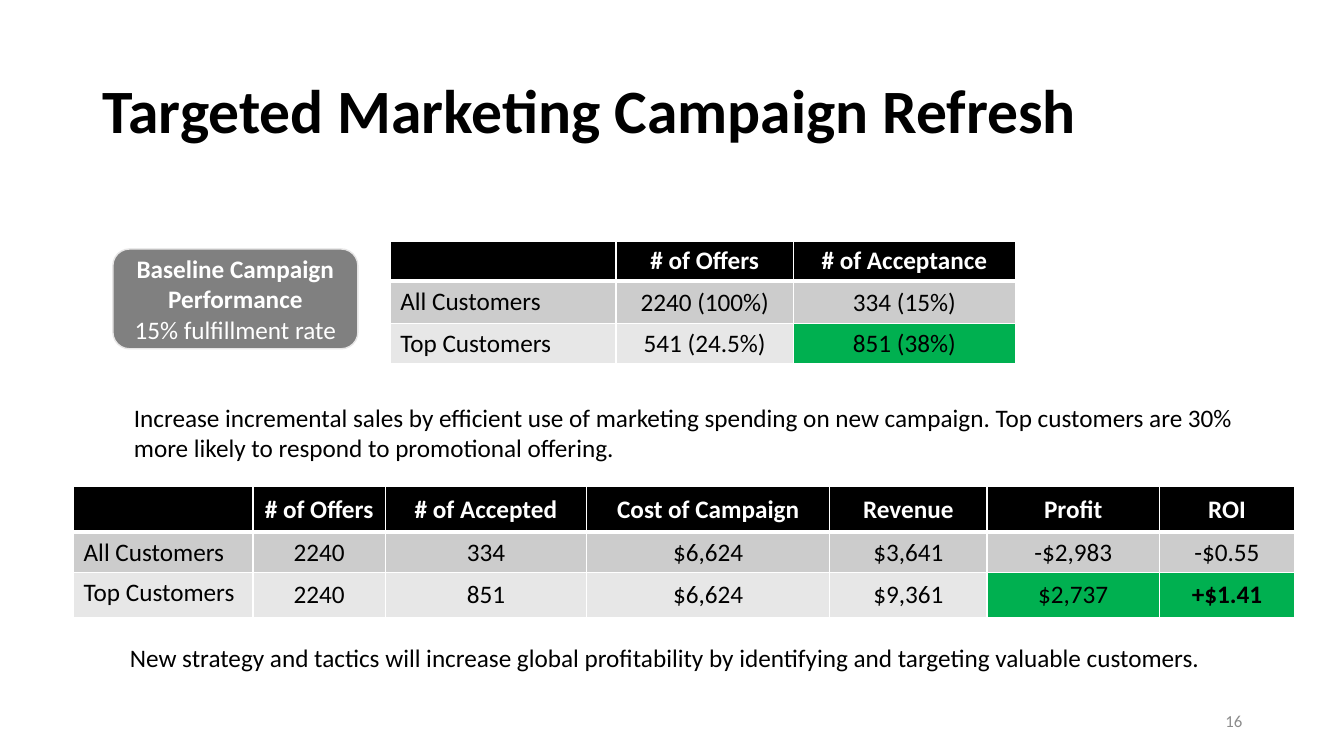
from lxml.etree import SubElement
from pptx import Presentation
from pptx.dml.color import RGBColor
from pptx.enum.shapes import MSO_SHAPE
from pptx.enum.text import MSO_ANCHOR, PP_ALIGN
from pptx.oxml.ns import qn
from pptx.util import Inches, Pt

COLORS = {
    "black": "000000",
    "white": "FFFFFF",
    "badge": "808080",
    "badge_line": "E7E6E6",
    "dark_band": "CCCCCC",
    "light_band": "E7E7E7",
    "highlight": "00B050",
    "page_number": "8C8C8C",
}


class SlideBuilder:
    font = "Calibri"
    size = 18

    def __init__(self, page):
        self.page = page

    def color(self, name):
        return RGBColor.from_string(COLORS[name])

    def style(self, para, size=None, color="black", bold=False, align=PP_ALIGN.LEFT):
        para.alignment = align
        para.font.name = self.font
        para.font.size = Pt(size or self.size)
        para.font.bold = bold
        para.font.color.rgb = self.color(color)

    def text(self, content, area, anchor=MSO_ANCHOR.TOP, spacing=1.0, **style):
        box = self.page.shapes.add_textbox(*map(Inches, area))
        frame = box.text_frame
        frame.word_wrap = True
        frame.vertical_anchor = anchor
        para = frame.paragraphs[0]
        para.text = content
        para.line_spacing = spacing
        self.style(para, **style)

    def badge(self, heading, detail, area):
        shape = self.page.shapes.add_shape(MSO_SHAPE.ROUNDED_RECTANGLE, *map(Inches, area))
        shape.shadow.inherit = False
        shape.fill.solid()
        shape.fill.fore_color.rgb = self.color("badge")
        shape.line.color.rgb = self.color("badge_line")
        shape.line.width = Pt(1)
        frame = shape.text_frame
        frame.word_wrap = True
        frame.vertical_anchor = MSO_ANCHOR.MIDDLE
        frame.text = f"{heading}\n{detail}"
        for para, bold in zip(frame.paragraphs, (True, False)):
            self.style(para, color="white", bold=bold, align=PP_ALIGN.CENTER)

    def borders(self, cell, bottom):
        properties = cell._tc.get_or_add_tcPr()
        for side, width in (("L", 1), ("R", 1), ("T", 1), ("B", bottom)):
            line = SubElement(properties, qn(f"a:ln{side}"), w=str(Pt(width)))
            fill = SubElement(line, qn("a:solidFill"))
            SubElement(fill, qn("a:srgbClr"), val=COLORS["white"])

    def table(self, rows, left, top, widths, heights, highlights, bold_cells=()):
        area = (left, top, sum(widths), sum(heights))
        table = self.page.shapes.add_table(len(rows), len(widths), *map(Inches, area)).table
        for column, width in zip(table.columns, widths):
            column.width = Inches(width)
        for row, height in zip(table.rows, heights):
            row.height = Inches(height)

        bands = ("black", "dark_band", "light_band")
        for r, values in enumerate(rows):
            header = r == 0
            for c, value in enumerate(values):
                cell = table.cell(r, c)
                self.borders(cell, bottom=3 if header else 1)
                cell.fill.solid()
                fill = "highlight" if (r, c) in highlights else bands[r]
                cell.fill.fore_color.rgb = self.color(fill)
                cell.vertical_anchor = MSO_ANCHOR.MIDDLE if c else MSO_ANCHOR.TOP
                cell.text = value
                self.style(
                    cell.text_frame.paragraphs[0],
                    color="white" if header else "black",
                    bold=header or (r, c) in bold_cells,
                    align=PP_ALIGN.CENTER if c else PP_ALIGN.LEFT,
                )


def main():
    deck = Presentation()
    deck.slide_width, deck.slide_height = Inches(13.33), Inches(7.5)
    page = deck.slides.add_slide(deck.slide_layouts[6])
    builder = SlideBuilder(page)

    # Title
    builder.text("Targeted Marketing Campaign Refresh", (0.92, 0.4, 11.5, 1.45),
                 anchor=MSO_ANCHOR.MIDDLE, spacing=0.9, size=44, bold=True)

    # Campaign return table
    builder.table(
        [
            ["", "# of Offers", "# of Accepted", "Cost of Campaign", "Revenue", "Profit", "ROI"],
            ["All Customers", "2240", "334", "$6,624", "$3,641", "-$2,983", "-$0.55"],
            ["Top Customers", "2240", "851", "$6,624", "$9,361", "$2,737", "+$1.41"],
        ],
        left=0.73, top=4.83,
        widths=[1.78, 1.31, 2, 2.41, 1.56, 1.71, 1.34],
        heights=[0.45, 0.4, 0.45],
        highlights={(2, 5), (2, 6)},
        bold_cells={(2, 6)},
    )

    # Baseline badge and acceptance table
    builder.badge("Baseline Campaign Performance", "15% fulfillment rate",
                  (1.12, 2.47, 2.43, 0.99))
    builder.table(
        [
            ["", "# of Offers", "# of Acceptance"],
            ["All Customers", "2240 (100%)", "334 (15%)"],
            ["Top Customers", "541 (24.5%)", "851 (38%)"],
        ],
        left=3.87, top=2.39,
        widths=[2.24, 1.76, 2.2],
        heights=[0.4, 0.42, 0.4],
        highlights={(2, 2)},
    )

    # Takeaways
    builder.text("Increase incremental sales by efficient use of marketing spending on new "
                 "campaign. Top customers are 30% more likely to respond to promotional offering.",
                 (1.23, 3.94, 11.1, 0.71))
    builder.text("New strategy and tactics will increase global profitability by identifying "
                 "and targeting valuable customers.", (1.19, 6.32, 11.1, 0.71))

    # Page number
    builder.text("16", (9.42, 6.95, 3, 0.4), anchor=MSO_ANCHOR.MIDDLE,
                 size=12, color="page_number", align=PP_ALIGN.RIGHT)

    deck.save("out.pptx")


if __name__ == "__main__":
    main()
